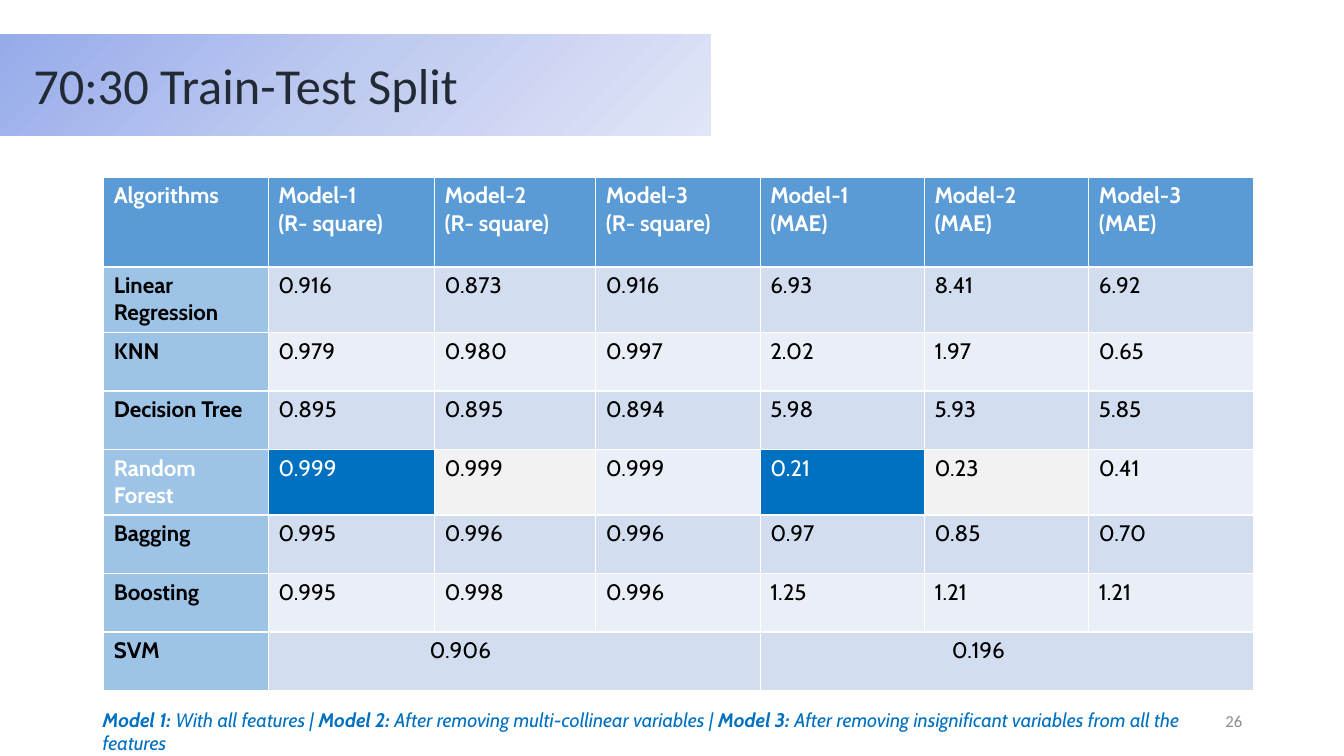
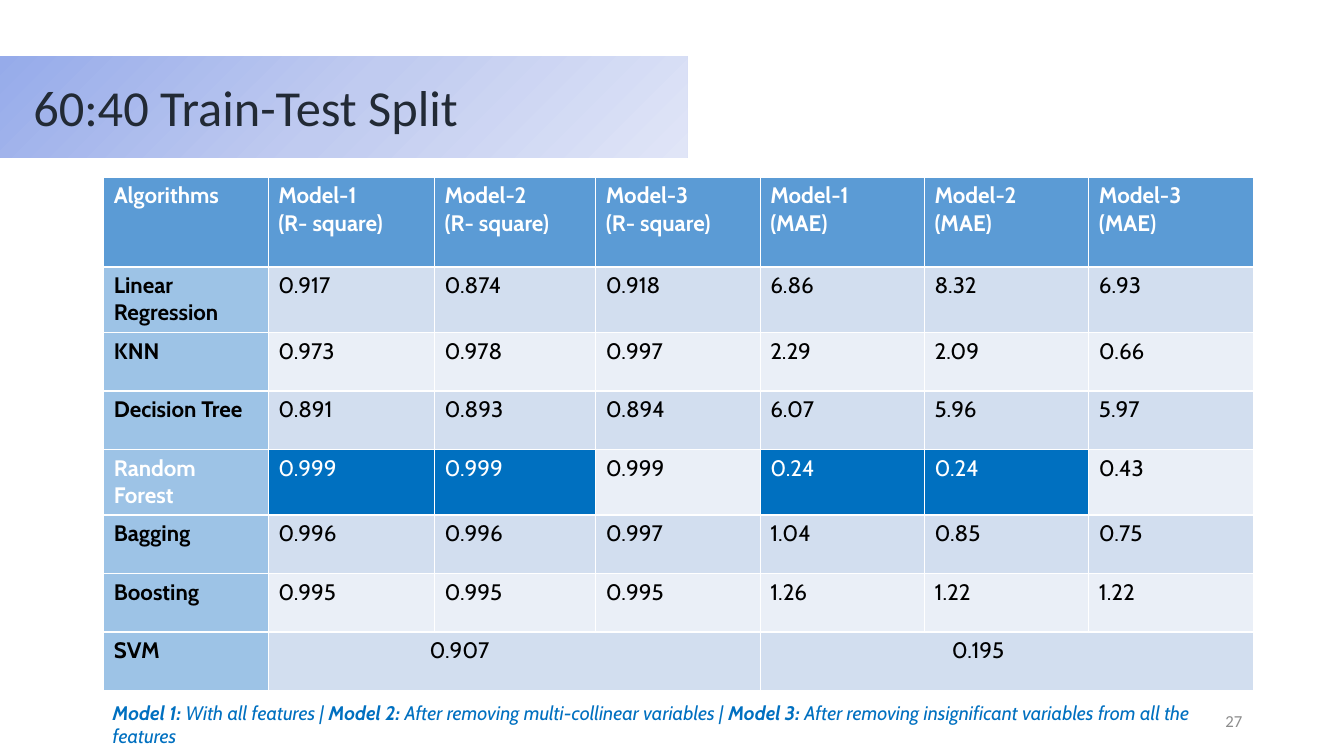
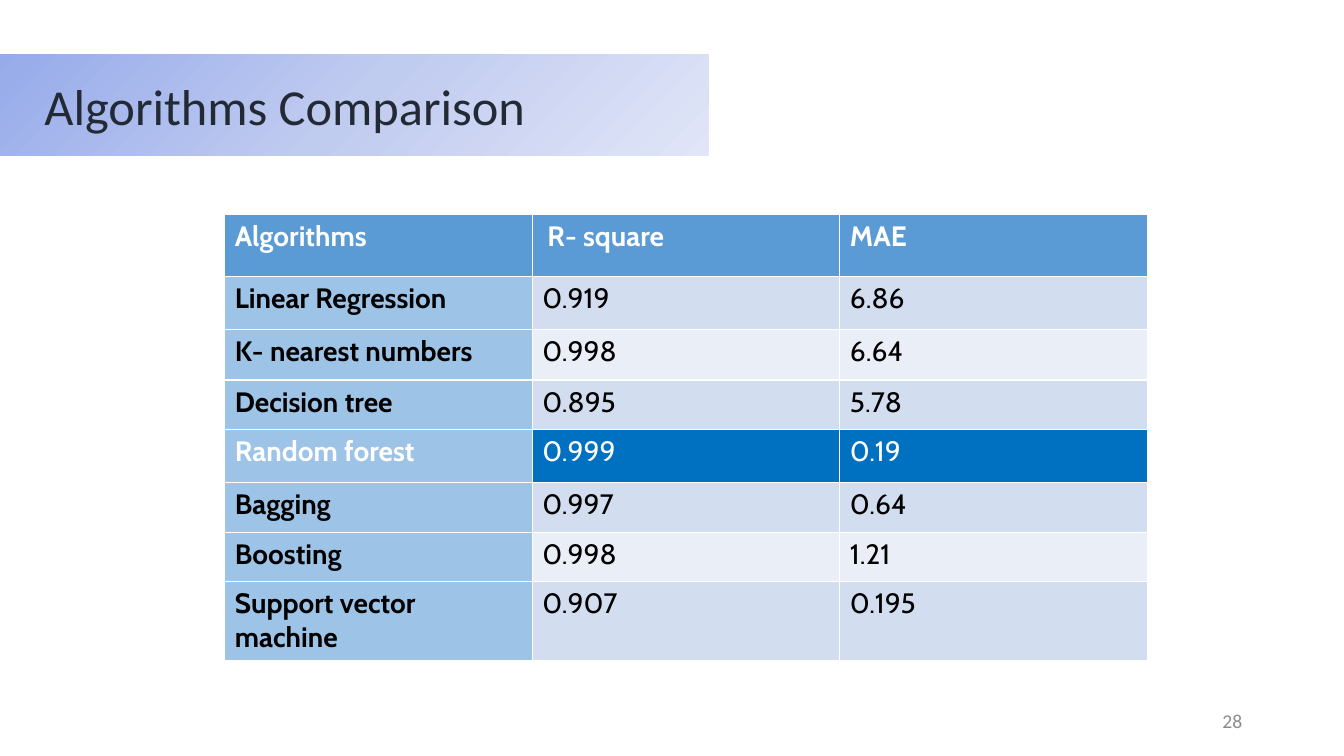
from pptx import Presentation
from pptx.dml.color import RGBColor
from pptx.enum.text import MSO_ANCHOR, MSO_AUTO_SIZE, PP_ALIGN
from pptx.oxml import parse_xml
from pptx.oxml.ns import nsdecls
from pptx.util import Inches, Pt

BLACK = "000000"
WHITE = "FFFFFF"
HEADER = "5B9BD5"
LABEL = "9DC3E6"
BANDS = ("D2DEEF", "EAEFF7")
BLUE = "0070C0"
PALE = "F2F2F2"
TITLE = "222A35"
GREY = "8C8C8C"
GRADIENT = ((0, "96ABEA"), (50, "C0CBF0"), (100, "E0E5F7"))

BEST_ROW = 4
SPLIT_COLUMNS = (1.63, 1.65, 1.6, 1.63, 1.63, 1.63, 1.63)
SPLIT_ROWS = (0.89, 0.65, 0.58, 0.58, 0.65, 0.58, 0.58, 0.58)
SPLIT_HEADER = ["Algorithms"] + [
    f"Model-{model}\n({measure})" for measure in ("R- square", "MAE") for model in (1, 2, 3)
]
SPLIT_MERGES = ((7, 1, 3, 1.6), (7, 4, 6, 1.9))
MODEL_NOTE = (
    ("Model 1: ", True),
    ("With all features | ", False),
    ("Model 2: ", True),
    ("After removing multi-collinear variables | ", False),
    ("Model 3: ", True),
    ("After removing insignificant variables from all the features", False),
)


def color(value):
    return RGBColor.from_string(value)


def add_text(paragraph, text, size=16, font="Cabin", fill=BLACK, bold=False, italic=False):
    run = paragraph.add_run()
    run.text = text
    run.font.size = Pt(size)
    run.font.name = font
    run.font.bold = bold
    run.font.italic = italic
    run.font.color.rgb = color(fill)


class Deck:
    def __init__(self):
        self.presentation = Presentation()
        self.presentation.slide_width = Inches(13.33)
        self.presentation.slide_height = Inches(7.5)
        self.slide = None

    def start_slide(self, title, top, width, indent, number, number_size=12):
        layout = self.presentation.slide_layouts[5]
        self.slide = self.presentation.slides.add_slide(layout)
        self.add_title(title, top, width, indent)
        self.add_number(number, number_size)

    def add_title(self, text, top, width, indent):
        shape = self.slide.shapes.title
        shape.left, shape.top = Inches(0), Inches(top)
        shape.width, shape.height = Inches(width), Inches(1)
        stops = "".join(
            f'<a:gs pos="{position * 1000}"><a:srgbClr val="{value}"/></a:gs>'
            for position, value in GRADIENT
        )
        shape.element.spPr.append(parse_xml(
            f'<a:gradFill {nsdecls("a")} rotWithShape="1"><a:gsLst>{stops}</a:gsLst>'
            '<a:lin ang="2700000" scaled="0"/></a:gradFill>'
        ))
        frame = shape.text_frame
        frame.auto_size = MSO_AUTO_SIZE.NONE
        frame.vertical_anchor = MSO_ANCHOR.MIDDLE
        frame.margin_left = Inches(indent)
        paragraph = frame.paragraphs[0]
        paragraph.alignment = PP_ALIGN.LEFT
        add_text(paragraph, text, size=36, font="Calibri", fill=TITLE)

    def add_box(self, left, top, width, height):
        shape = self.slide.shapes.add_textbox(
            Inches(left), Inches(top), Inches(width), Inches(height))
        shape.text_frame.word_wrap = True
        return shape.text_frame

    def add_number(self, number, size):
        frame = self.add_box(9.42, 6.95, 3, 0.4)
        frame.vertical_anchor = MSO_ANCHOR.MIDDLE
        paragraph = frame.paragraphs[0]
        paragraph.alignment = PP_ALIGN.RIGHT
        add_text(paragraph, str(number), size=size, font="Calibri", fill=GREY)

    def add_model_note(self, left, top):
        frame = self.add_box(left, top, 11.06, 0.53)
        for text, bold in MODEL_NOTE:
            add_text(frame.paragraphs[0], text, size=14, fill=BLUE, bold=bold, italic=True)

    def add_table(self, rows, left, top, widths, heights, size, best, pale=(), merges=()):
        table = self.slide.shapes.add_table(
            len(rows), len(widths), Inches(left), Inches(top),
            Inches(sum(widths)), Inches(sum(heights))).table
        for column, width in zip(table.columns, widths):
            column.width = Inches(width)
        for row, height in zip(table.rows, heights):
            row.height = Inches(height)
        for row_index, values in enumerate(rows):
            for column_index, text in enumerate(values):
                self.fill_cell(table.cell(row_index, column_index), text,
                               row_index, column_index, size, best, pale)
        for row_index, first, last, indent in merges:
            cell = table.cell(row_index, first)
            cell.merge(table.cell(row_index, last))
            cell.margin_left = Inches(indent)
        return table

    def fill_cell(self, cell, text, row, column, size, best, pale):
        fill, text_color = BANDS[(row + 1) % 2], BLACK
        if row == 0:
            fill, text_color = HEADER, WHITE
        elif column == 0:
            fill, text_color = LABEL, WHITE if row == BEST_ROW else BLACK
        elif row == BEST_ROW and column in best:
            fill, text_color = BLUE, WHITE
        elif row == BEST_ROW and column in pale:
            fill = PALE
        cell.fill.solid()
        cell.fill.fore_color.rgb = color(fill)
        if not text:
            return
        frame = cell.text_frame
        for index, line in enumerate(text.split("\n")):
            paragraph = frame.add_paragraph() if index else frame.paragraphs[0]
            add_text(paragraph, line, size=size, fill=text_color, bold=row == 0 or column == 0)

    def add_split_table(self, results, best, pale=()):
        self.add_table([SPLIT_HEADER] + results, 1.03, 1.76, SPLIT_COLUMNS, SPLIT_ROWS,
                       16, best, pale, SPLIT_MERGES)


def main():
    deck = Deck()

    deck.start_slide("70:30 Train-Test Split", 0.34, 7.05, 0.33, 26)
    deck.add_split_table([
        ["Linear Regression", "0.916", "0.873", "0.916", "6.93", "8.41", "6.92"],
        ["KNN", "0.979", "0.980", "0.997", "2.02", "1.97", "0.65"],
        ["Decision Tree", "0.895", "0.895", "0.894", "5.98", "5.93", "5.85"],
        ["Random Forest", "0.999", "0.999", "0.999", "0.21", "0.23", "0.41"],
        ["Bagging", "0.995", "0.996", "0.996", "0.97", "0.85", "0.70"],
        ["Boosting", "0.995", "0.998", "0.996", "1.25", "1.21", "1.21"],
        ["SVM", "0.906", "", "", "0.196", "", ""],
    ], best=(1, 4), pale=(2, 5))
    deck.add_model_note(0.92, 6.97)

    deck.start_slide("60:40 Train-Test Split", 0.56, 6.82, 0.33, 27)
    deck.add_split_table([
        ["Linear Regression", "0.917", "0.874", "0.918", "6.86", "8.32", "6.93"],
        ["KNN", "0.973", "0.978", "0.997", "2.29", "2.09", "0.66"],
        ["Decision Tree", "0.891", "0.893", "0.894", "6.07", "5.96", "5.97"],
        ["Random Forest", "0.999", "0.999", "0.999", "0.24", "0.24", "0.43"],
        ["Bagging", "0.996", "0.996", "0.997", "1.04", "0.85", "0.75"],
        ["Boosting", "0.995", "0.995", "0.995", "1.26", "1.22", "1.22"],
        ["SVM", "0.907", "", "", "0.195", "", ""],
    ], best=(1, 2, 4, 5))
    deck.add_model_note(1.02, 6.9)

    deck.start_slide("Algorithms Comparison", 0.54, 7.03, 0.44, 28, number_size=14)
    table = deck.add_table([
        ["Algorithms", "R- square", "MAE"],
        ["Linear Regression", "0.919", "6.86"],
        ["K- nearest numbers", "0.998", "6.64"],
        ["Decision tree", "0.895", "5.78"],
        ["Random forest", "0.999", "0.19"],
        ["Bagging", "0.997", "0.64"],
        ["Boosting", "0.998", "1.21"],
        ["Support vector machine", "0.907", "0.195"],
    ], 2.23, 2.13, (3.05,) * 3, (0.61, 0.53, 0.5, 0.49, 0.53, 0.49, 0.49, 0.78), 20, best=(1, 2))
    table.cell(0, 1).margin_left = Inches(0.15)

    deck.presentation.save("out.pptx")


if __name__ == "__main__":
    main()
